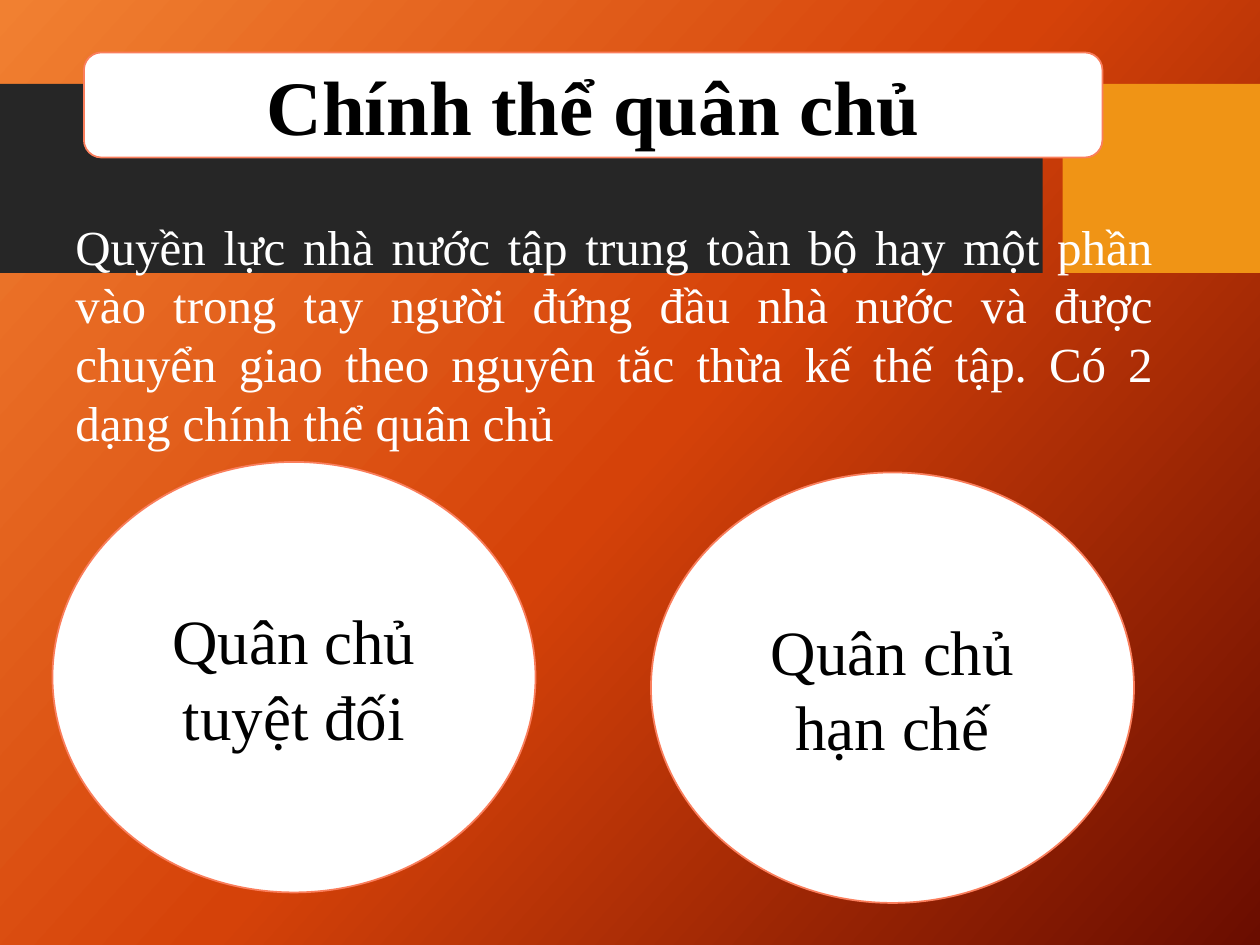
"""Build the slide on monarchy as a form of government."""
from copy import deepcopy

from pptx import Presentation
from pptx.dml.color import RGBColor
from pptx.enum.shapes import MSO_SHAPE
from pptx.enum.text import MSO_ANCHOR, PP_ALIGN
from pptx.oxml.ns import qn
from pptx.util import Inches, Pt

RECT, ROUND, OVAL = MSO_SHAPE.RECTANGLE, MSO_SHAPE.ROUNDED_RECTANGLE, MSO_SHAPE.OVAL
TOP, MIDDLE = MSO_ANCHOR.TOP, MSO_ANCHOR.MIDDLE
CENTER, JUSTIFY = PP_ALIGN.CENTER, PP_ALIGN.JUSTIFY

BLACK = RGBColor(0x00, 0x00, 0x00)
WHITE = RGBColor(0xFF, 0xFF, 0xFF)
DARK = RGBColor(0x26, 0x26, 0x26)
AMBER = RGBColor(0xF0, 0x94, 0x15)
CORAL = RGBColor(0xFA, 0x7E, 0x5C)
STOPS = (
    (0, RGBColor(0xF1, 0x80, 0x31)),
    (0.5, RGBColor(0xD5, 0x42, 0x09)),
    (1, RGBColor(0x6A, 0x0D, 0x00)),
)

CELL = Inches(1) / 12
FACE = "Times New Roman"
TITLE = {"size": Pt(44), "bold": True, "color": BLACK}
BODY = {"size": Pt(28), "bold": False, "color": WHITE}
LABEL = {"size": Pt(36), "bold": False, "color": BLACK}


def grid(*cells):
    """Turn columns and rows of the grid into slide lengths."""
    return [round(cell * CELL) for cell in cells]


def paint(slide):
    """Fill the background with the diagonal gradient."""
    fill = slide.background.fill
    fill.gradient()
    fill.gradient_angle = 318
    stops = slide.element.find(".//" + qn("a:gsLst"))
    stops.insert(1, deepcopy(stops[0]))
    for stop, (place, color) in zip(fill.gradient_stops, STOPS):
        stop.position = place
        stop.color.rgb = color


def write(shape, text, style, align=CENTER, anchor=MIDDLE):
    """Put one styled paragraph in a shape."""
    frame = shape.text_frame
    frame.word_wrap = True
    frame.vertical_anchor = anchor
    para = frame.paragraphs[0]
    para.alignment = align
    run = para.add_run()
    run.text = text
    font = run.font
    font.name = FACE
    for key, value in style.items():
        if key == "color":
            font.color.rgb = value
        else:
            setattr(font, key, value)


def draw(slide, kind, cells, fill, line=None):
    """Add a filled shape with an optional outline."""
    shape = slide.shapes.add_shape(kind, *grid(*cells))
    shape.shadow.inherit = False
    shape.fill.solid()
    shape.fill.fore_color.rgb = fill
    if line is None:
        shape.line.fill.background()
    else:
        shape.line.color.rgb = line
        shape.line.width = Pt(1)
    return shape


def head(slide, cells, text):
    """Set the title on a rounded panel."""
    draw(slide, ROUND, cells, WHITE, CORAL)
    title = slide.shapes.title
    slide.shapes.element.append(title.element)
    names = ("left", "top", "width", "height")
    for name, value in zip(names, grid(*cells)):
        setattr(title, name, value)
    write(title, text, TITLE)


def main():
    """Compose and save the slide."""
    deck = Presentation()
    deck.slide_width, deck.slide_height = grid(120, 90)
    slide = deck.slides.add_slide(deck.slide_layouts[5])
    paint(slide)
    draw(slide, RECT, (0, 8, 99.3, 18), DARK)
    draw(slide, RECT, (101.2, 8, 18.8, 18), AMBER)
    head(slide, (8, 5, 97, 10), "Chính thể quân chủ")
    body = slide.shapes.add_textbox(*grid(6, 20, 105, 24))
    write(
        body,
        "Quyền lực nhà nước tập trung toàn bộ hay một phần vào trong tay "
        "người đứng đầu nhà nước và được chuyển giao theo nguyên tắc thừa kế "
        "thế tập. Có 2 dạng chính thể quân chủ",
        BODY, JUSTIFY, TOP,
    )
    for col, row, text in (
        (5, 44, "Quân chủ tuyệt đối"),
        (62, 45, "Quân chủ hạn chế"),
    ):
        write(draw(slide, OVAL, (col, row, 46, 41), WHITE, CORAL), text, LABEL)
    deck.save("out.pptx")


if __name__ == "__main__":
    main()
